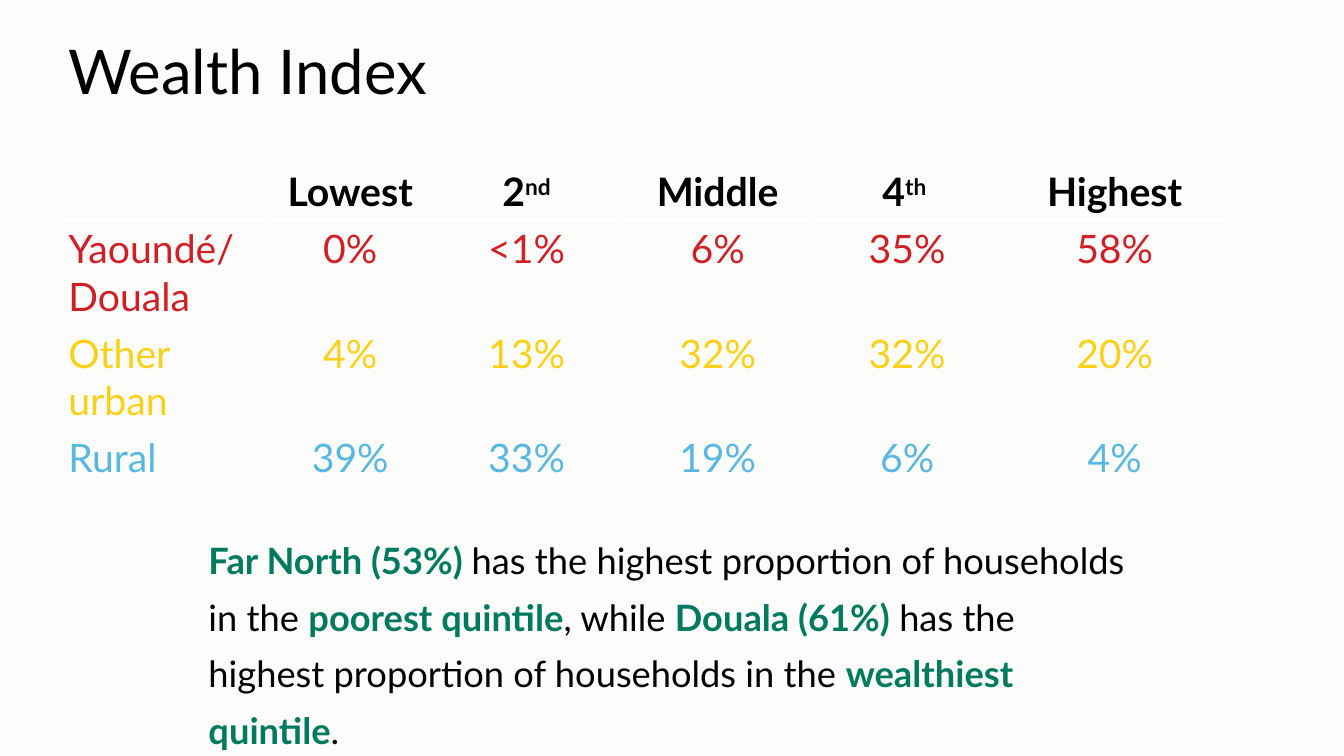
from dataclasses import dataclass

from lxml import etree
from pptx import Presentation
from pptx.dml.color import RGBColor
from pptx.enum.text import MSO_ANCHOR, MSO_AUTO_SIZE, PP_ALIGN
from pptx.oxml.ns import qn
from pptx.util import Cm, Pt

LEFT, CENTER = PP_ALIGN.LEFT, PP_ALIGN.CENTER
TOP, BOTTOM = MSO_ANCHOR.TOP, MSO_ANCHOR.BOTTOM
NO_FIT = MSO_AUTO_SIZE.NONE
FONT = "Lato"
BLACK, WHITE, GREEN = "000000", "FFFFFF", "007A5E"
PAPER = "FCFCFA"


@dataclass
class Part:
    text: str
    color: str = BLACK
    bold: bool = False
    raised: bool = False


@dataclass
class Band:
    label: str
    color: str
    shares: list[str]
    height: float


HEADS = [
    [],
    [Part("Lowest", bold=True)],
    [Part("2", bold=True), Part("nd", bold=True, raised=True)],
    [Part("Middle", bold=True)],
    [Part("4", bold=True), Part("th ", bold=True, raised=True)],
    [Part("Highest", bold=True)],
]
BANDS = [
    Band("Yaoundé/ Douala", "CF2028", ["0%", "<1%", "6%", "35%", "58%"], 2.62),
    Band("Other urban", "FBD018", ["4%", "13%", "32%", "32%", "20%"], 2.62),
    Band("Rural", "5AB7E0", ["39%", "33%", "19%", "6%", "4%"], 1.44),
]
HEAD_HEIGHT = 1.44
WIDTHS = [5.26, 4.19, 4.7, 4.93, 4.62, 5.84]
NOTE = [
    Part("Far North (53%) ", GREEN, True),
    Part("has the highest proportion of households in the "),
    Part("poorest quintile", GREEN, True),
    Part(", while "),
    Part("Douala (61%)", GREEN, True),
    Part(" has the highest proportion of households in the "),
    Part("wealthiest quintile", GREEN, True),
    Part("."),
]


def paint(target, color: str) -> None:
    target.rgb = RGBColor.from_string(color)


def write(para, parts: list[Part], size: float, align) -> None:
    para.alignment = align
    for part in parts:
        run = para.add_run()
        run.text = part.text
        run.font.name = FONT
        run.font.size = Pt(size)
        run.font.bold = part.bold
        paint(run.font.color, part.color)
        if part.raised:
            run._r.get_or_add_rPr().set("baseline", "30000")


def place(shape, left: float, top: float, width: float, height: float, anchor):
    shape.left, shape.top = Cm(left), Cm(top)
    shape.width, shape.height = Cm(width), Cm(height)
    frame = shape.text_frame
    frame.word_wrap = True
    frame.auto_size = NO_FIT
    frame.vertical_anchor = anchor
    return frame.paragraphs[0]


def edge(cell, side: str, weight: float) -> None:
    line = etree.SubElement(cell._tc.get_or_add_tcPr(), qn(f"a:ln{side}"), w=str(Pt(weight)))
    fill = etree.SubElement(line, qn("a:solidFill"))
    etree.SubElement(fill, qn("a:srgbClr"), val=WHITE)


def add_grid(slide) -> None:
    rows = [HEADS] + [
        [[Part(text, band.color)] for text in [band.label, *band.shares]]
        for band in BANDS
    ]
    tall = [HEAD_HEIGHT] + [band.height for band in BANDS]
    frame = slide.shapes.add_table(
        len(rows), len(WIDTHS), Cm(1.47), Cm(4.11), Cm(sum(WIDTHS)), Cm(sum(tall))
    )
    grid = frame.table
    grid.first_row = grid.horz_banding = False
    for col, width in zip(grid.columns, WIDTHS):
        col.width = Cm(width)
    for i, row in enumerate(rows):
        grid.rows[i].height = Cm(tall[i])
        for j, parts in enumerate(row):
            cell = grid.cell(i, j)
            write(cell.text_frame.paragraphs[0], parts, 28, CENTER if j or not i else LEFT)
            edge(cell, "L", 1)
            edge(cell, "R", 1)
            edge(cell, "T", 3 if i == 1 else 1)
            edge(cell, "B", 3 if i == 0 else 1)
            cell.fill.background()


def main() -> None:
    deck = Presentation()
    deck.slide_width, deck.slide_height = Cm(33.87), Cm(19.05)
    slide = deck.slides.add_slide(deck.slide_layouts[1])
    back = slide.background.fill
    back.solid()
    paint(back.fore_color, PAPER)

    title = place(slide.shapes.title, 1.47, 0.89, 21.89, 1.96, BOTTOM)
    title.line_spacing = 0.9
    write(title, [Part("Wealth Index")], 44, LEFT)

    body = place(slide.placeholders[1], 5, 13.11, 23.83, 5.05, TOP)
    body.line_spacing = 1.3
    body.space_before = Pt(10)
    props = body._p.get_or_add_pPr()
    props.set("marL", "0")
    props.set("indent", "0")
    etree.SubElement(props, qn("a:buNone"))
    write(body, NOTE, 25.9, LEFT)

    add_grid(slide)
    deck.save("out.pptx")


if __name__ == "__main__":
    main()
